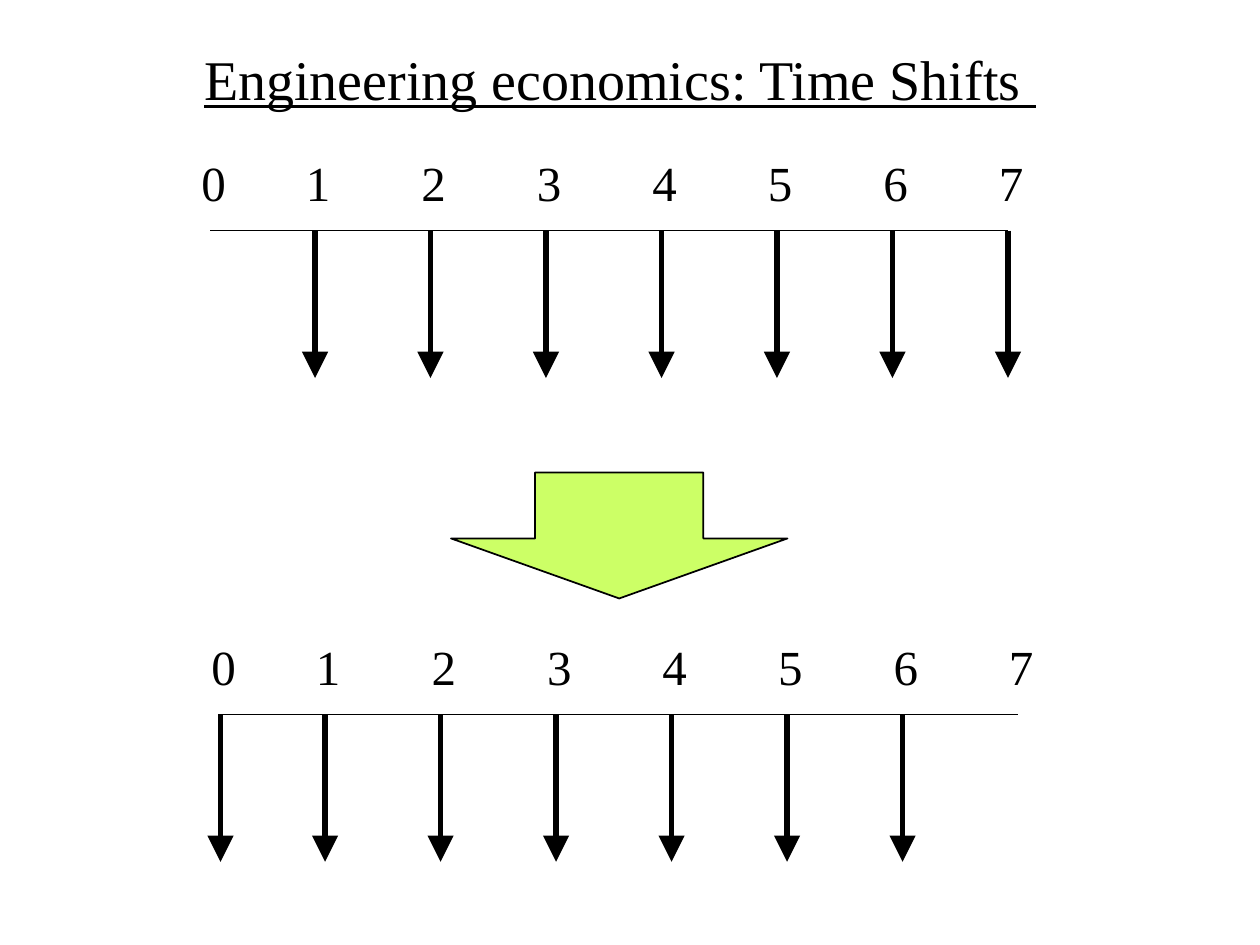
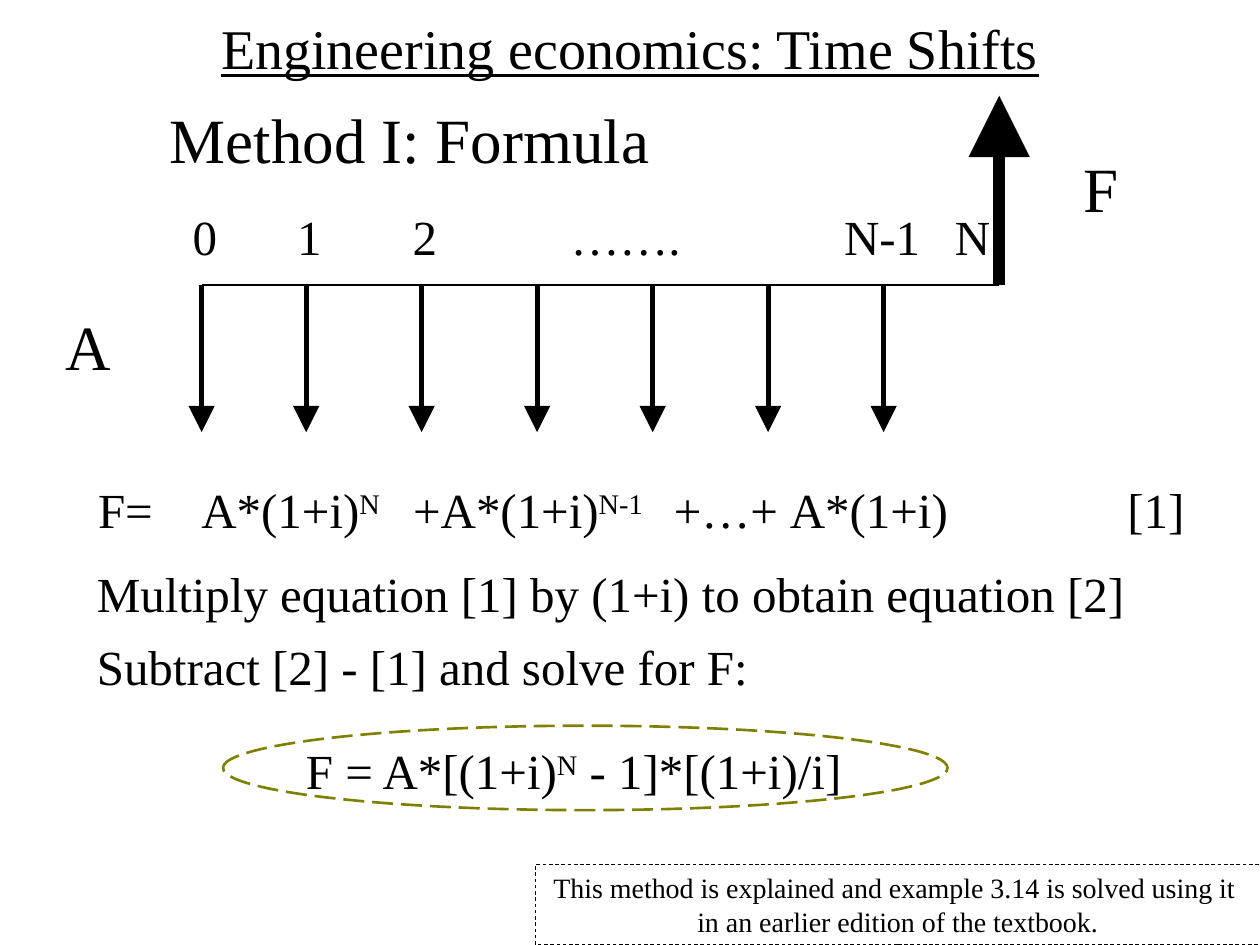
"""Build two slides on time shifts of uniform cash flow series."""
from pptx import Presentation
from pptx.dml.color import RGBColor
from pptx.enum.dml import MSO_LINE_DASH_STYLE as Dash
from pptx.enum.shapes import MSO_CONNECTOR as Connector, MSO_SHAPE as Shape
from pptx.enum.text import MSO_ANCHOR as Anchor, MSO_AUTO_SIZE as AutoSize, PP_ALIGN as Align
from pptx.oxml.ns import qn
from pptx.util import Inches, Pt

BLACK = RGBColor(0x00, 0x00, 0x00)
LIME = RGBColor(0xCC, 0xFF, 0x66)
OLIVE = RGBColor(0x80, 0x80, 0x00)
TITLE_ONLY = 5
FIRST_GAP, PERIOD_GAP, PERIODS = 0.83, 11 / 12, 7
FLOW_LENGTH = 1.17
LABEL_SHIFT, LABEL_RISE = -0.17, -0.67
LABEL_WIDTH, LABEL_HEIGHT = 0.4, 0.57
ARROWHEAD = {"type": "triangle", "w": "lg", "len": "lg"}


def set_values(target, values):
    """Set each named attribute of the target."""
    for name, value in values.items():
        setattr(target, name, value)


def write(paragraph, text, size, underline=None):
    """Fill a paragraph; parts between carets are superscripts."""
    for index, part in enumerate(text.split("^")):
        run = paragraph.add_run()
        run.text = part
        set_values(run.font, {"name": "Times New Roman", "size": Pt(size), "underline": underline})
        run.font.color.rgb = BLACK
        if index % 2:
            run.font._element.set("baseline", "30000")


def add_titled_slide(deck, text, box):
    """Add a slide with an underlined, centred title."""
    slide = deck.slides.add_slide(deck.slide_layouts[TITLE_ONLY])
    title = slide.shapes.title
    set_values(title, dict(zip(("left", "top", "width", "height"), map(Inches, box))))
    set_values(title.text_frame, {"vertical_anchor": Anchor.MIDDLE, "word_wrap": True,
                                  "auto_size": AutoSize.NONE})
    heading = title.text_frame.paragraphs[0]
    heading.alignment = Align.CENTER
    write(heading, text, 32, underline=True)
    return slide


def add_text(slide, text, left, top, width, height=LABEL_HEIGHT, size=28):
    """Add one line of unwrapped text."""
    frame = slide.shapes.add_textbox(*map(Inches, (left, top, width, height))).text_frame
    set_values(frame, {"word_wrap": False, "auto_size": AutoSize.SHAPE_TO_FIT_TEXT})
    write(frame.paragraphs[0], text, size)


def add_line(slide, start, end, weight=1, arrow=False):
    """Add a black straight line, with an arrowhead at its end if asked."""
    line = slide.shapes.add_connector(Connector.STRAIGHT, *map(Inches, (*start, *end)))
    line.line.color.rgb = BLACK
    line.line.width = Pt(weight)
    if arrow:
        outline = line.line._get_or_add_ln()
        outline.append(outline.makeelement(qn("a:tailEnd"), ARROWHEAD))
    properties = line._element.spPr
    properties.append(properties.makeelement(qn("a:effectLst"), {}))


def add_outline(slide, kind, box, color, weight, dash=None, fill=None):
    """Add an outlined preset shape, filled only when a fill is given."""
    shape = slide.shapes.add_shape(kind, *map(Inches, box))
    shape.shadow.inherit = False
    if fill is None:
        shape.fill.background()
    else:
        shape.fill.solid()
        shape.fill.fore_color.rgb = fill
    shape.line.color.rgb = color
    set_values(shape.line, {"width": Pt(weight), "dash_style": dash})
    return shape


def period_offset(period):
    """Return the distance of a period from the start of the time line."""
    return FIRST_GAP + PERIOD_GAP * (period - 1) if period else 0


def add_timeline(slide, left, top, flow_periods, numbered_periods):
    """Add a time line with numbered periods and downward cash flows."""
    add_line(slide, (left, top), (left + period_offset(PERIODS), top))
    for period in flow_periods:
        x = left + period_offset(period)
        add_line(slide, (x, top), (x, top + FLOW_LENGTH), 3, arrow=True)
    for period in numbered_periods:
        add_text(slide, str(period), left + period_offset(period) + LABEL_SHIFT,
                 top + LABEL_RISE, LABEL_WIDTH)


def build_shift(deck):
    """Show a series moved one period earlier."""
    slide = add_titled_slide(deck, "Engineering economics: Time Shifts ", (0.67, 0.33, 8.5, 0.58))
    add_timeline(slide, 1.67, 1.83, range(1, PERIODS + 1), range(PERIODS + 1))
    shift_arrow = add_outline(slide, Shape.DOWN_ARROW, (3.58, 3.75, 2.67, 1), BLACK, 1, fill=LIME)
    shift_arrow.adjustments[1] = 0.476
    add_timeline(slide, 1.75, 5.67, range(PERIODS), range(PERIODS + 1))


def build_formula(deck):
    """Show how the future value formula is derived."""
    slide = add_titled_slide(deck, "Engineering economics: Time Shifts", (0.75, 0, 8.5, 0.75))
    add_text(slide, "Method I: Formula", 1.25, 0.75, 4.04, 0.71, 36)
    add_timeline(slide, 1.6, 2.26, range(PERIODS), range(3))
    for label, left, width in (("…….", 4.43, 1.08), ("N-1", 6.6, 0.81), ("N", 7.48, 0.48)):
        add_text(slide, label, left, 1.59, width)
    add_line(slide, (7.93, 2.26), (7.93, 0.76), 7, arrow=True)
    add_text(slide, "F", 8.5, 1.14, 0.48, 0.7, 36)
    add_text(slide, "A", 0.42, 2.39, 0.56, 0.7, 36)

    equation_terms = (("F=", 0.68, 0.64), ("A*(1+i)^N^", 1.5, 1.65), ("+A*(1+i)^N-1^", 3.18, 2.09),
                      ("+…+", 5.25, 1.03), ("A*(1+i)", 6.17, 1.46), ("[1]", 8.85, 0.66))
    for term, left, width in equation_terms:
        add_text(slide, term, left, 3.76, width)
    add_text(slide, "Multiply equation [1] by (1+i) to obtain equation [2]", 0.67, 4.42, 8.36)
    add_text(slide, "Subtract [2] - [1] and solve for F:", 0.67, 5, 5.38)
    add_text(slide, "F = A*[(1+i)^N^ - 1]*[(1+i)/i]", 2.33, 5.83, 4.51)
    add_outline(slide, Shape.OVAL, (1.77, 5.76, 5.75, 0.67), OLIVE, 1.5, Dash.LONG_DASH)

    note = add_outline(slide, Shape.RECTANGLE, (4.25, 6.86, 5.75, 0.64), BLACK, 0.5, Dash.DASH)
    frame = note.text_frame
    set_values(frame, {"word_wrap": False, "auto_size": AutoSize.SHAPE_TO_FIT_TEXT,
                       "vertical_anchor": Anchor.TOP})
    note_lines = ("This method is explained and example 3.14 is solved using it ",
                  "in an earlier edition of the textbook.")
    for index, text in enumerate(note_lines):
        paragraph = frame.add_paragraph() if index else frame.paragraphs[0]
        paragraph.alignment = Align.CENTER
        write(paragraph, text, 16)


def main():
    """Build and save the deck."""
    deck = Presentation()
    set_values(deck, {"slide_width": Inches(10), "slide_height": Inches(7.5)})
    build_shift(deck)
    build_formula(deck)
    deck.save("out.pptx")


if __name__ == "__main__":
    main()
